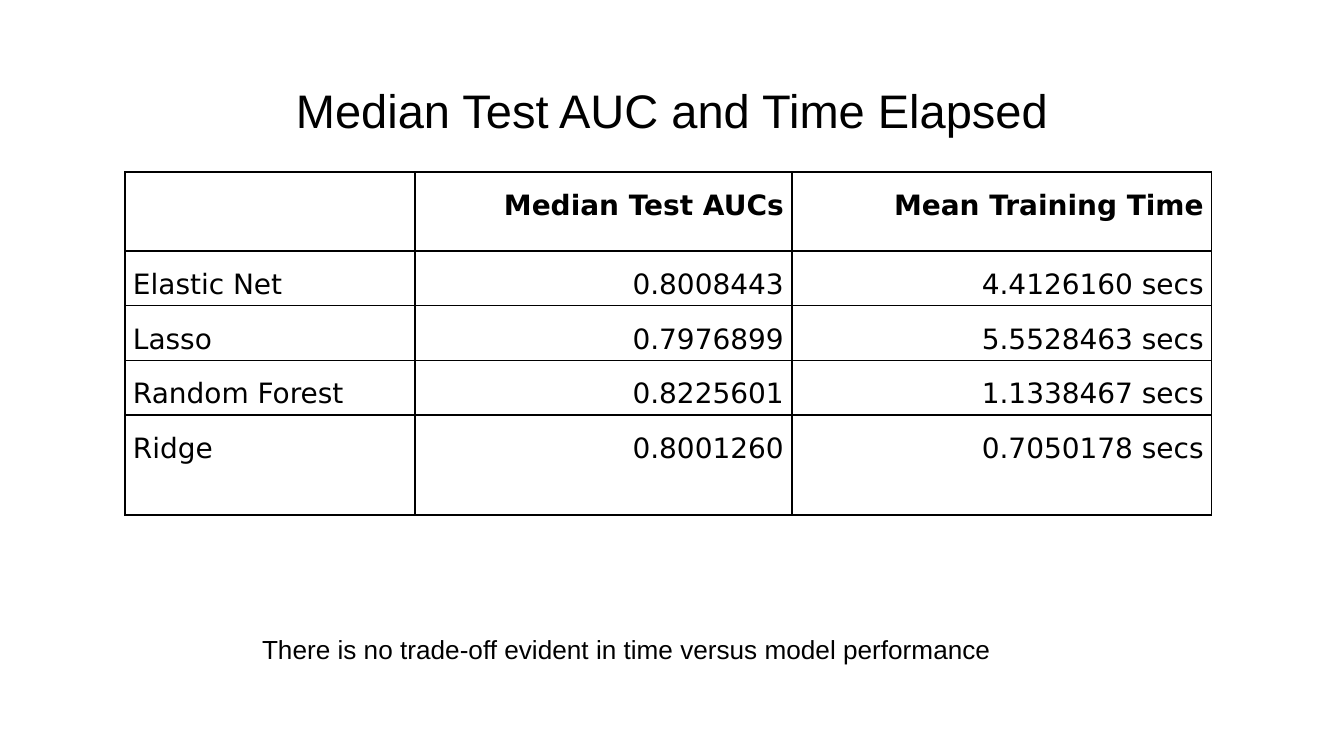
from lxml import etree
from pptx import Presentation
from pptx.dml.color import RGBColor
from pptx.enum.text import MSO_ANCHOR, PP_ALIGN
from pptx.oxml.ns import qn
from pptx.util import Pt

LEFT, CENTER, RIGHT = PP_ALIGN.LEFT, PP_ALIGN.CENTER, PP_ALIGN.RIGHT
TOP, BOTTOM = MSO_ANCHOR.TOP, MSO_ANCHOR.BOTTOM
COLORS = {"text": "000000", "border": "000000", "background": "FFFFFF"}
EMU_PER_PX = 914400 / 134.4


def px(n):
    return round(n * EMU_PER_PX)


def write(tf, text, font="Arial", size=14, bold=False, align=LEFT, spacing=1.0):
    p = tf.paragraphs[0]
    p.alignment = align
    p.line_spacing = spacing
    r = p.add_run()
    r.text = text
    r.font.name = font
    r.font.size = Pt(size)
    r.font.bold = bold
    r.font.color.rgb = RGBColor.from_string(COLORS["text"])


class SlideBuilder:
    def __init__(self, slide):
        self.slide = slide
        self.border_width = Pt(0.75)

    def text(self, x, y, w, h, text, anchor=TOP, **style):
        sp = self.slide.shapes.add_textbox(px(x), px(y), px(w), px(h))
        tf = sp.text_frame
        tf.word_wrap = True
        tf.vertical_anchor = anchor
        tf.margin_left = tf.margin_right = tf.margin_top = tf.margin_bottom = px(13)
        write(tf, text, **style)

    def border(self, cell):
        tc_pr = cell._tc.get_or_add_tcPr()
        for side in ("a:lnL", "a:lnR", "a:lnT", "a:lnB"):
            ln = etree.SubElement(tc_pr, qn(side), w=str(self.border_width))
            fill = etree.SubElement(ln, qn("a:solidFill"))
            etree.SubElement(fill, qn("a:srgbClr"), val=COLORS["border"])

    def table(self, x, y, widths, heights, rows):
        frame = self.slide.shapes.add_table(
            len(rows), len(widths), px(x), px(y), px(sum(widths)), px(sum(heights)))
        table = frame.table
        table.first_row = table.horz_banding = False
        for column, width in zip(table.columns, widths):
            column.width = px(width)
        for row, height in zip(table.rows, heights):
            row.height = px(height)
        for i, values in enumerate(rows):
            header = i == 0
            for j, value in enumerate(values):
                cell = table.cell(i, j)
                self.border(cell)
                cell.fill.solid()
                cell.fill.fore_color.rgb = RGBColor.from_string(COLORS["background"])
                cell.margin_left = cell.margin_right = px(8)
                cell.margin_top = px(13 if header else 3)
                cell.margin_bottom = px(4 if header else 3)
                if value:
                    write(cell.text_frame, value, font="DejaVu Sans", size=15,
                          bold=header, align=RIGHT if j else LEFT,
                          spacing=1.15 if header else 1.45)


def main():
    prs = Presentation()
    prs.slide_width, prs.slide_height = px(1344), px(756)
    s = SlideBuilder(prs.slides.add_slide(prs.slide_layouts[6]))

    # Title
    s.text(46, 66, 1252, 85, "Median Test AUC and Time Elapsed",
           anchor=BOTTOM, size=25.2, align=CENTER)

    # Model results
    results = [
        ("", "Median Test AUCs", "Mean Training Time"),
        ("Elastic Net", "0.8008443", "4.4126160 secs"),
        ("Lasso", "0.7976899", "5.5528463 secs"),
        ("Random Forest", "0.8225601", "1.1338467 secs"),
        ("Ridge", "0.8001260", "0.7050178 secs"),
    ]
    s.table(125, 172, [290, 377, 420], [79, 53, 53, 52, 100], results)

    # Conclusion
    s.text(249, 620, 775, 59,
           "There is no trade-off evident in time versus model performance")

    prs.save("out.pptx")


if __name__ == "__main__":
    main()
